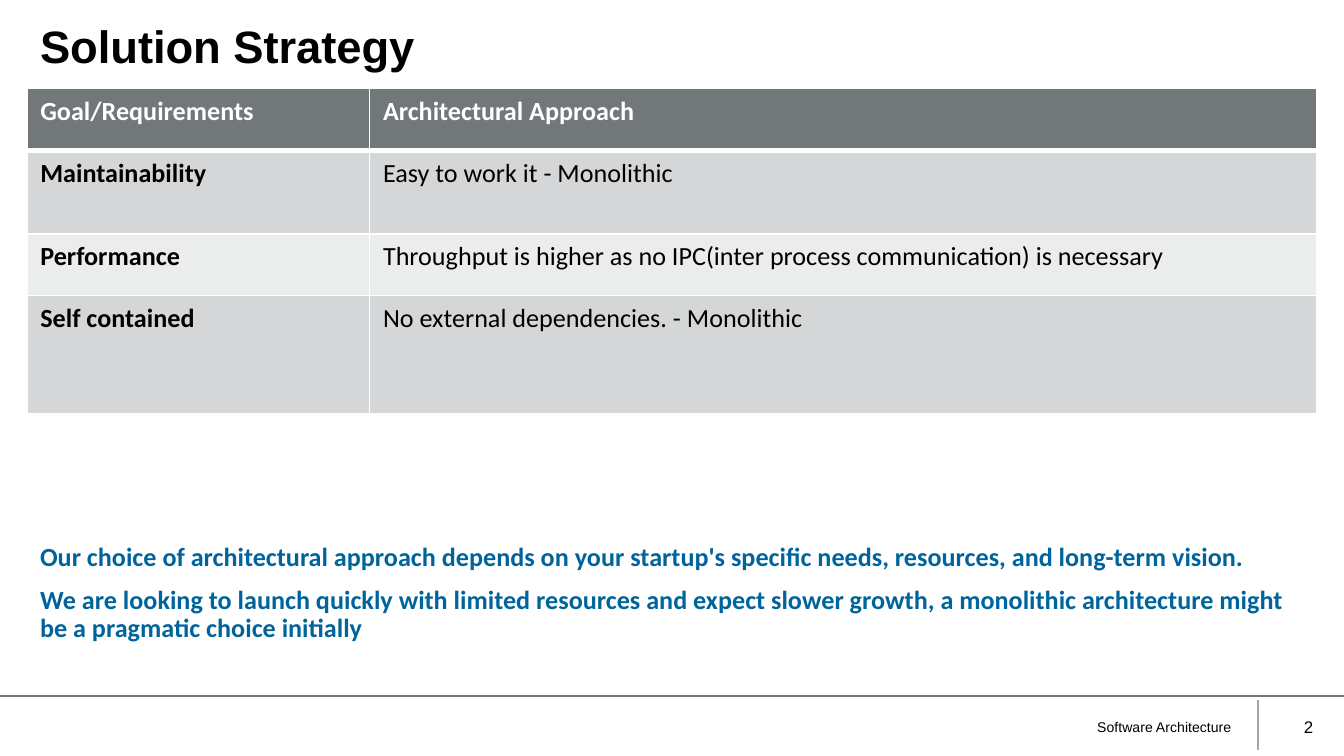
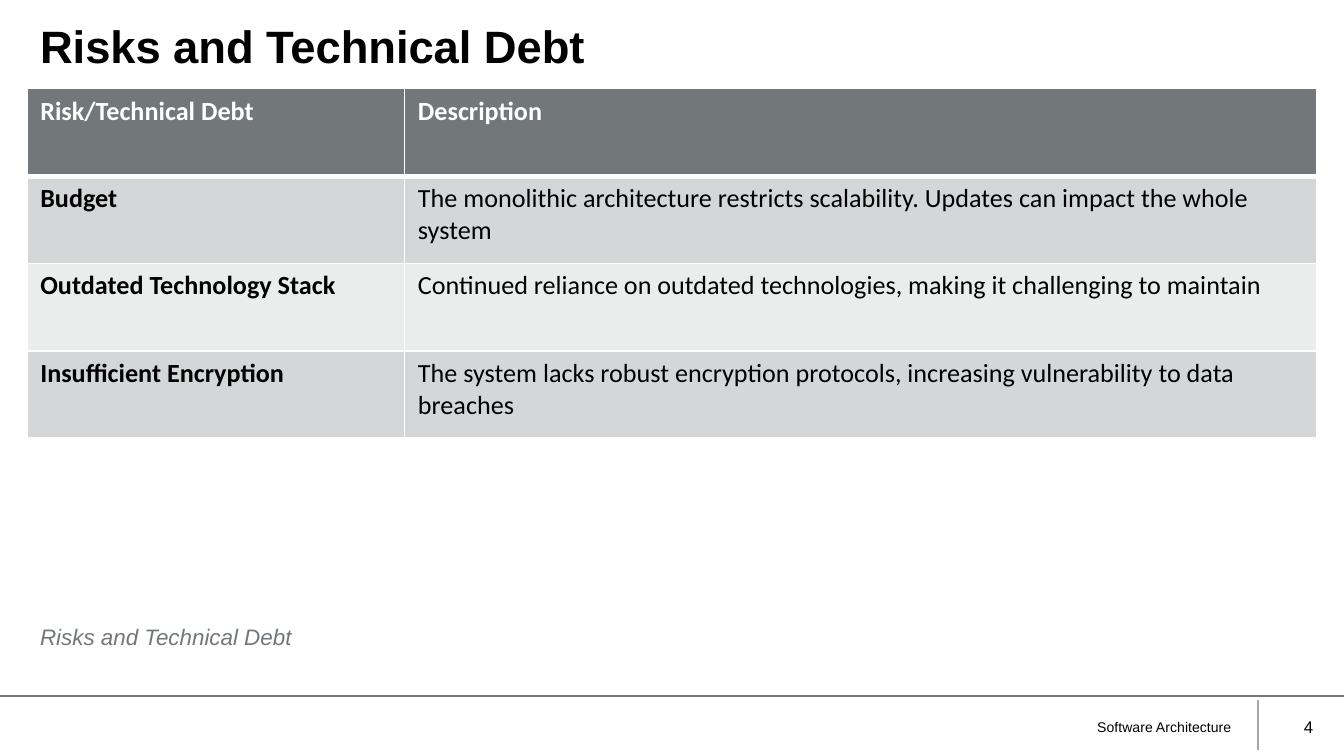
from lxml.etree import SubElement
from pptx import Presentation
from pptx.dml.color import RGBColor
from pptx.enum.shapes import MSO_CONNECTOR
from pptx.enum.text import MSO_ANCHOR, PP_ALIGN
from pptx.oxml.ns import qn
from pptx.util import Pt

PX = 9144
SLIDE_WIDTH = 1000
BLACK, WHITE, GREY, RULE = "000000", "FFFFFF", "72777A", "A6A6A6"
BLUE = "00649C"
STRIPES = ("D5D6D7", "EBECEC")
MARGIN, CONTENT_WIDTH, TABLE_TOP = 20, 960, 66
FOOTER = "Software Architecture"

SLIDES = [
    {
        "title": "Solution Strategy",
        "number": "2",
        "columns": (255, 705),
        "heights": (46, 62, 46, 88),
        "rows": [
            ("Goal/Requirements", "Architectural Approach"),
            ("Maintainability", "Easy to work it - Monolithic"),
            ("Performance", "Throughput is higher as no IPC(inter process communication) is necessary"),
            ("Self contained", "No external dependencies. - Monolithic"),
        ],
        "note": [
            "Our choice of architectural approach depends on your startup's specific needs, resources, and long-term vision.",
            "We are looking to launch quickly with limited resources and expect slower growth, "
            "a monolithic architecture might be a pragmatic choice initially",
        ],
        "note_box": (MARGIN, 336, CONTENT_WIDTH, 174),
        "note_format": {"size": 14, "font": "Calibri", "color": BLUE, "bold": True, "inset_top": 69},
    },
    {
        "title": "Risks and Technical Debt",
        "number": "4",
        "columns": (281, 679),
        "heights": (65,) * 4,
        "rows": [
            ("Risk/Technical Debt", "Description"),
            ("Budget", "The monolithic architecture restricts scalability. Updates can impact the whole system"),
            ("Outdated Technology Stack", "Continued reliance on outdated technologies, making it challenging to maintain"),
            ("Insufficient Encryption", "The system lacks robust encryption protocols, increasing vulnerability to data breaches"),
        ],
        "note": ["Risks and Technical Debt"],
        "note_box": (MARGIN, 461, CONTENT_WIDTH, 48),
        "note_format": {"size": 12, "color": GREY, "italic": True},
    },
]


def px(*lengths):
    return [length * PX for length in lengths]


def rgb(color):
    return RGBColor.from_string(color)


def write(frame, paragraphs, *, size, font="Arial", color=BLACK, bold=False, italic=False,
          align=PP_ALIGN.LEFT, anchor=MSO_ANCHOR.TOP, leading=1.0, gap=0, inset_top=5):
    frame.word_wrap = True
    frame.vertical_anchor = anchor
    frame.margin_left, frame.margin_right, frame.margin_top, frame.margin_bottom = px(10, 10, inset_top, 5)
    for index, words in enumerate(paragraphs):
        paragraph = frame.add_paragraph() if index else frame.paragraphs[0]
        paragraph.alignment = align
        paragraph.line_spacing = leading
        paragraph.space_before = paragraph.space_after = Pt(gap)
        run = paragraph.add_run()
        run.text = words
        run.font.name, run.font.size = font, Pt(size)
        run.font.bold, run.font.italic = bold, italic
        run.font.color.rgb = rgb(color)


def add_text(slide, box, paragraphs, **text_format):
    write(slide.shapes.add_textbox(*px(*box)).text_frame, paragraphs, **text_format)


def add_rule(slide, ends, color):
    rule = slide.shapes.add_connector(MSO_CONNECTOR.STRAIGHT, *px(*ends))
    rule.line.color.rgb = rgb(color)
    rule.line.width = Pt(1)
    SubElement(rule._element.spPr, qn("a:effectLst"))


def add_borders(cell, top, bottom):
    properties = cell._tc.get_or_add_tcPr()
    for side, width in (("L", 1), ("R", 1), ("T", top), ("B", bottom)):
        border = SubElement(properties, qn(f"a:ln{side}"), w=str(Pt(width)))
        SubElement(SubElement(border, qn("a:solidFill")), qn("a:srgbClr"), val=WHITE)


def add_table(slide, rows, columns, heights):
    box = px(MARGIN, TABLE_TOP, sum(columns), sum(heights))
    table = slide.shapes.add_table(len(rows), len(columns), *box).table
    for column, width in zip(table.columns, px(*columns)):
        column.width = width
    for row, height in zip(table.rows, px(*heights)):
        row.height = height
    for r, entries in enumerate(rows):
        header = r == 0
        for c, words in enumerate(entries):
            cell = table.cell(r, c)
            add_borders(cell, top=3 if r == 1 else 1, bottom=3 if header else 1)
            cell.fill.solid()
            cell.fill.fore_color.rgb = rgb(GREY if header else STRIPES[(r - 1) % 2])
            write(cell.text_frame, [words], size=14, font="Calibri",
                  color=WHITE if header else BLACK, bold=header or c == 0)


def add_frame(slide, title, number):
    add_rule(slide, (936, 521, 936, 558), RULE)
    add_rule(slide, (0, 518, SLIDE_WIDTH, 518), GREY)
    add_text(slide, (MARGIN, 13, CONTENT_WIDTH, 48), [title], size=24.3, bold=True, leading=0.9)
    for box, words, size in (((305, 526, 621, 30), FOOTER, 7.5), ((934, 526, 53, 30), number, 9)):
        add_text(slide, box, [words], size=size, align=PP_ALIGN.RIGHT, anchor=MSO_ANCHOR.MIDDLE)


def main():
    deck = Presentation()
    deck.slide_width = SLIDE_WIDTH * PX
    deck.slide_height = deck.slide_width * 9 // 16
    for content in SLIDES:
        slide = deck.slides.add_slide(deck.slide_layouts[6])
        add_frame(slide, content["title"], content["number"])
        add_text(slide, content["note_box"], content["note"], leading=0.9, gap=3.8, **content["note_format"])
        add_table(slide, content["rows"], content["columns"], content["heights"])
    deck.save("out.pptx")


if __name__ == "__main__":
    main()
